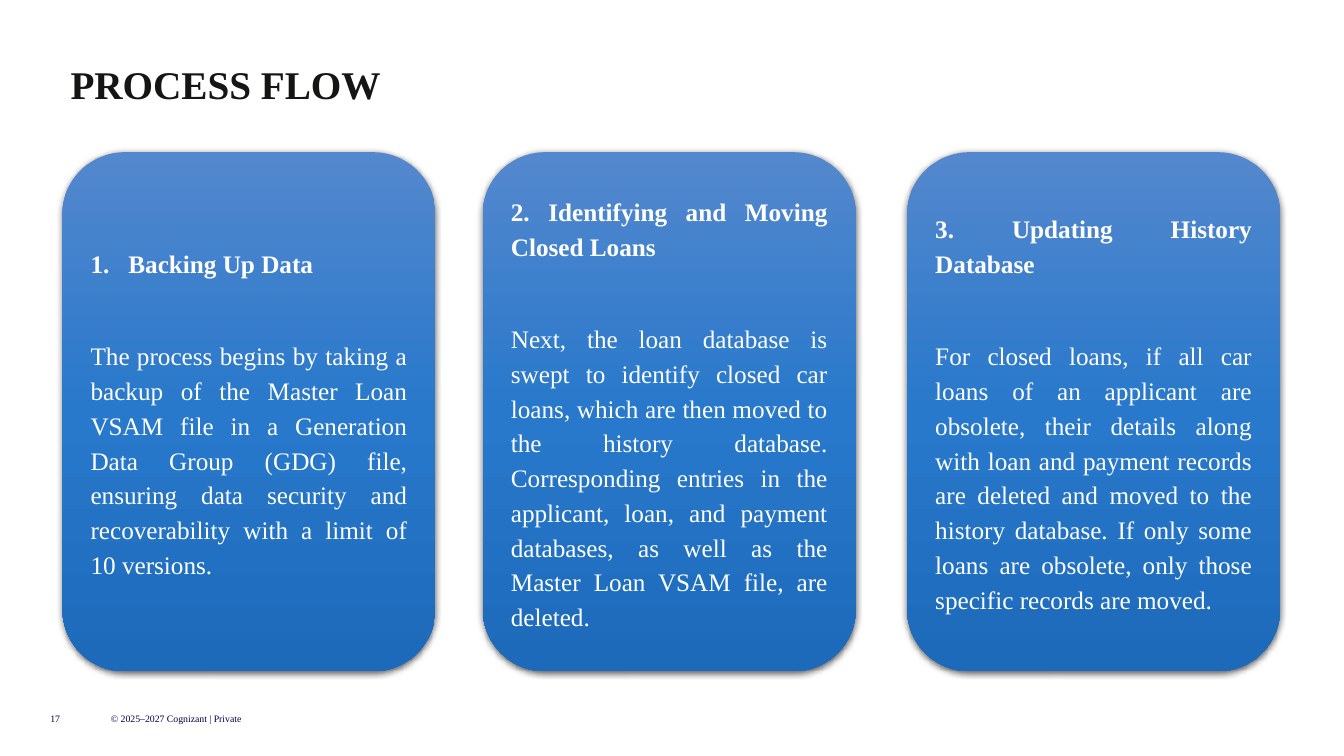
import copy
from dataclasses import dataclass

import pptx
import pptx.dml.color
import pptx.enum.shapes
import pptx.enum.text
import pptx.oxml
import pptx.oxml.ns
import pptx.util
from lxml import etree

Pt = pptx.util.Pt
qn = pptx.oxml.ns.qn


@dataclass(frozen=True)
class Theme:
    font: str = "Times New Roman"
    title_color: str = "151514"
    card_text: str = "FFFFFF"
    footer_color: str = "000048"
    shadow_color: str = "000000"
    card_gradient: tuple = ((0, "5488CE"), (0.5, "2878CB"), (1, "1D6ABB"))
    title_size: float = 28
    card_size: float = 18
    footer_size: float = 7


class SlideBuilder:
    def __init__(self, slide, theme):
        self.slide = slide
        self.theme = theme

    def style(self, paragraph, text, size, color, bold=False, spacing=None):
        paragraph.text = text
        paragraph.alignment = pptx.enum.text.PP_ALIGN.JUSTIFY
        if spacing:
            paragraph.line_spacing = spacing
        font = paragraph.font
        font.name, font.size, font.bold = self.theme.font, Pt(size), bold
        font.color.rgb = pptx.dml.color.RGBColor.from_string(color)

    def label(self, text, left, top, width, height, size, color,
              anchor=pptx.enum.text.MSO_ANCHOR.MIDDLE, **style):
        box = self.slide.shapes.add_textbox(Pt(left), Pt(top), Pt(width), Pt(height))
        frame = box.text_frame
        frame.word_wrap = True
        frame.vertical_anchor = anchor
        frame.margin_left = frame.margin_right = 0
        frame.margin_top = frame.margin_bottom = 0
        self.style(frame.paragraphs[0], text, size, color, **style)

    def gradient(self, card):
        card.fill.gradient()
        card.fill.gradient_angle = 270
        stop_list = card._element.spPr.find(".//" + qn("a:gsLst"))
        stop_list.insert(1, copy.deepcopy(stop_list[0]))
        for stop, (position, color) in zip(card.fill.gradient_stops, self.theme.card_gradient):
            stop.position = position
            stop.color.rgb = pptx.dml.color.RGBColor.from_string(color)

    def soft_shadow(self, card):
        card.shadow.inherit = False
        effects = card._element.spPr.find(qn("a:effectLst"))
        shadow = etree.SubElement(effects, qn("a:outerShdw"), blurRad=str(Pt(4.5)),
                                  dist=str(Pt(1.5)), dir="5400000", algn="ctr", rotWithShape="0")
        color = etree.SubElement(shadow, qn("a:srgbClr"), val=self.theme.shadow_color)
        etree.SubElement(color, qn("a:alpha"), val="63000")

    def number(self, paragraph, indent):
        properties = paragraph._p.get_or_add_pPr()
        properties.set("marL", str(Pt(indent)))
        properties.set("indent", str(-Pt(indent)))
        etree.SubElement(properties, qn("a:buFont"), typeface="+mj-lt")
        etree.SubElement(properties, qn("a:buAutoNum"), type="arabicPeriod")

    def card(self, left, top, width, height, heading, body, numbered):
        card = self.slide.shapes.add_shape(
            pptx.enum.shapes.MSO_SHAPE.ROUNDED_RECTANGLE,
            Pt(left), Pt(top), Pt(width), Pt(height))
        self.gradient(card)
        card.line.fill.background()
        self.soft_shadow(card)

        frame = card.text_frame
        frame.word_wrap = True
        frame.vertical_anchor = pptx.enum.text.MSO_ANCHOR.MIDDLE
        step, detail = frame.paragraphs[0], frame.add_paragraph()
        if numbered:
            self.number(step, 27)
        for paragraph, text, bold, after in ((step, heading, True, 41), (detail, body, False, 8)):
            self.style(paragraph, text, self.theme.card_size, self.theme.card_text, bold, 1.15)
            paragraph.space_after = Pt(after)


# Left edge, heading, body, automatic number
STEPS = (
    (44.64, "Backing Up Data",
     "The process begins by taking a backup of the Master Loan VSAM file in a Generation "
     "Data Group (GDG) file, ensuring data security and recoverability with a limit of "
     "10 versions.", True),
    (344.88, "2. Identifying and Moving Closed Loans",
     "Next, the loan database is swept to identify closed car loans, which are then moved "
     "to the history database. Corresponding entries in the applicant, loan, and payment "
     "databases, as well as the Master Loan VSAM file, are deleted.", False),
    (648, "3. Updating History Database",
     "For closed loans, if all car loans of an applicant are obsolete, their details along "
     "with loan and payment records are deleted and moved to the history database. If only "
     "some loans are obsolete, only those specific records are moved.", False),
)


def main():
    deck = pptx.Presentation()
    deck.slide_width, deck.slide_height = Pt(960), Pt(540)
    theme = Theme()
    builder = SlideBuilder(deck.slides.add_slide(deck.slide_layouts[6]), theme)

    # Footer
    for text, left, width in (("17", 36, 28.8), ("© 2025–2027 Cognizant | Private", 79.2, 139.68)):
        builder.label(text, left, 504, width, 18, theme.footer_size, theme.footer_color)

    # Title
    builder.label("PROCESS FLOW", 50.4, 46.8, 895.68, 30.24, theme.title_size, theme.title_color,
                  pptx.enum.text.MSO_ANCHOR.TOP, bold=True, spacing=0.9)

    # Process steps
    for left, heading, body, numbered in STEPS:
        builder.card(left, 108.72, 266.4, 370.8, heading, body, numbered)

    deck.save("out.pptx")


if __name__ == "__main__":
    main()
